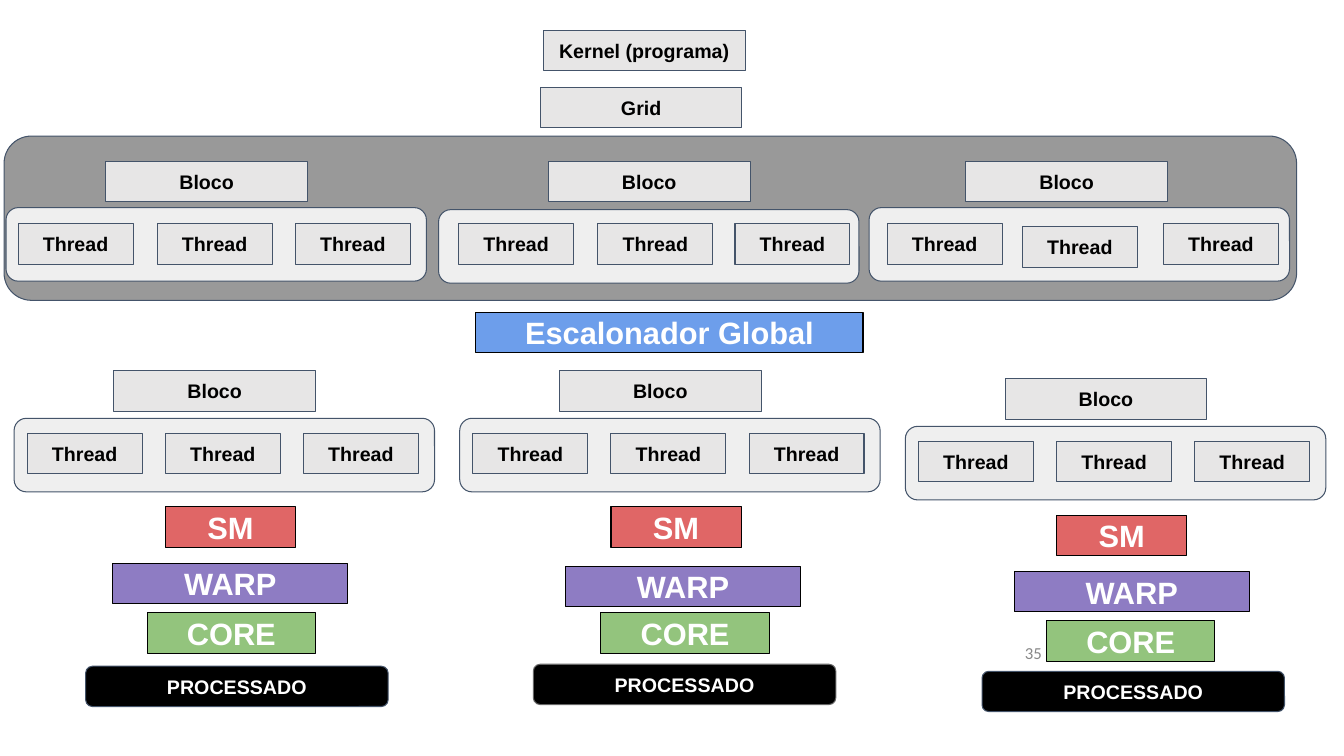
from pptx import Presentation
from pptx.dml.color import RGBColor
from pptx.enum.shapes import MSO_SHAPE as Shape
from pptx.enum.text import MSO_ANCHOR as Anchor, PP_ALIGN as Align
from pptx.util import Inches, Pt

ROW_HEIGHT = 0.4
THREAD_WIDTH = 1.14
THREAD_STEP = 1.37


def color(value):
    return RGBColor.from_string(value)


class Diagram:
    slate, black, white = "44546A", "000000", "FFFFFF"
    stages = {
        "SM": (1.29, "E06666"),
        "WARP": (2.33, "8E7CC3"),
        "CORE": (1.67, "93C47D"),
    }

    def __init__(self, page):
        self.page = page

    def add_text(self, box, text, size, ink, font="Arial", bold=True, inset=0.1):
        frame = box.text_frame
        margins = {
            "margin_left": Inches(0.1),
            "margin_right": Inches(0.1),
            "margin_top": Inches(inset),
            "margin_bottom": Inches(inset),
        }
        layout = {"word_wrap": True, "vertical_anchor": Anchor.MIDDLE, **margins}
        for name, value in layout.items():
            setattr(frame, name, value)
        para = frame.paragraphs[0]
        para.alignment = Align.CENTER
        span = para.add_run()
        span.text = text
        for name, value in {"name": font, "size": Pt(size), "bold": bold}.items():
            setattr(span.font, name, value)
        span.font.color.rgb = color(ink)

    def shape(self, kind, left, top, width, height, fill, line):
        box = self.page.shapes.add_shape(
            kind, Inches(left), Inches(top), Inches(width), Inches(height)
        )
        box.shadow.inherit = False
        box.fill.solid()
        box.fill.fore_color.rgb = color(fill)
        box.line.color.rgb = color(line)
        box.line.width = Pt(0.75)
        return box

    def panel(self, left, top, width=4.17, height=0.73, fill="EFEFEF"):
        self.shape(Shape.ROUNDED_RECTANGLE, left, top, width, height, fill, self.slate)

    def label(self, text, left, top, width=2):
        box = self.shape(
            Shape.RECTANGLE, left, top, width, ROW_HEIGHT, "E7E6E6", self.slate
        )
        self.add_text(box, text, 14, self.black)

    def thread(self, left, top):
        self.label("Thread", left, top, THREAD_WIDTH)

    def banner(self, text, left, top, width, fill):
        box = self.shape(
            Shape.RECTANGLE, left, top, width, ROW_HEIGHT, fill, self.black
        )
        self.add_text(box, text, 22, self.white)

    def stage(self, text, left, top):
        self.banner(text, left, top, *self.stages[text])

    def result(self, left, top, line):
        box = self.shape(
            Shape.FLOWCHART_ALTERNATE_PROCESS, left, top, 3, ROW_HEIGHT, self.black, line
        )
        self.add_text(box, "PROCESSADO", 14, self.white)

    def page_number(self, text, left, top):
        box = self.page.shapes.add_textbox(
            Inches(left), Inches(top), Inches(3), Inches(ROW_HEIGHT)
        )
        self.add_text(box, text, 12, "888888", "Calibri", False, 0.05)

    def scheduled_block(self, left, top):
        self.panel(left, top)
        self.label("Bloco", left + 0.99, top - 0.47)
        for index in range(3):
            self.thread(left + 0.13 + index * THREAD_STEP, top + 0.15)
        self.stage("SM", left + 1.5, top + 0.88)


def main():
    deck = Presentation()
    deck.slide_width, deck.slide_height = Inches(13.33), Inches(7.5)
    diagram = Diagram(deck.slides.add_slide(deck.slide_layouts[6]))

    diagram.panel(0.04, 1.35, 12.82, 1.63, "999999")
    diagram.page_number("35", 8.75, 6.28)
    diagram.label("Kernel (programa)", 5.39, 0.3)
    diagram.label("Grid", 5.36, 0.87)

    grid_blocks = [
        ((0.06, 2.06), 1.05, [(0.18, 2.22), (1.56, 2.22), (2.93, 2.22)]),
        ((4.35, 2.08), 5.44, [(4.55, 2.22), (5.93, 2.22), (7.29, 2.22)]),
        ((8.62, 2.06), 9.58, [(8.8, 2.22), (10.14, 2.25), (11.54, 2.22)]),
    ]
    for panel, block_left, threads in grid_blocks:
        diagram.panel(*panel)
        diagram.label("Bloco", block_left, 1.6)
        for thread in threads:
            diagram.thread(*thread)

    diagram.banner("Escalonador Global", 4.72, 3.1, 3.84, "6D9EEB")

    pipelines = [
        ((0.14, 4.15), (1.12, 5.59), (1.46, 6.08), (0.85, 6.61, "44546A")),
        ((4.56, 4.15), (5.61, 5.62), (5.96, 6.08), (5.29, 6.59, "666666")),
        ((8.98, 4.23), (10.06, 5.67), (10.38, 6.16), (9.74, 6.66, "44546A")),
    ]
    for block, warp, core, result in pipelines:
        diagram.scheduled_block(*block)
        diagram.stage("WARP", *warp)
        diagram.stage("CORE", *core)
        diagram.result(*result)

    deck.save("out.pptx")


if __name__ == "__main__":
    main()
